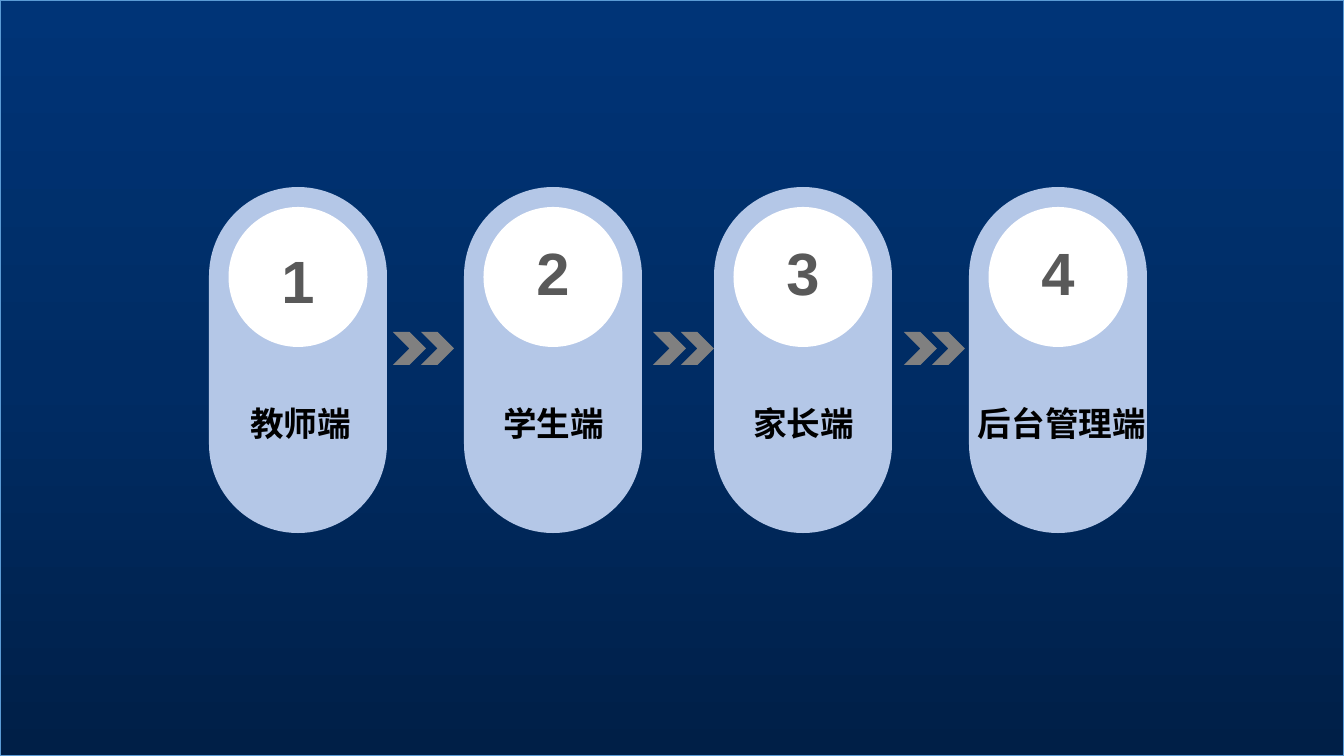
from copy import deepcopy

from lxml import etree
from pptx import Presentation
from pptx.dml.color import RGBColor
from pptx.enum.shapes import MSO_SHAPE
from pptx.enum.text import PP_ALIGN
from pptx.oxml.ns import qn
from pptx.util import Pt

RECT, PILL = MSO_SHAPE.RECTANGLE, MSO_SHAPE.ROUNDED_RECTANGLE
DISC, ARROW = MSO_SHAPE.OVAL, MSO_SHAPE.CHEVRON
CENTER = PP_ALIGN.CENTER

# Content: number, its top, label, pill left, label left, label width
STEPS = [
    ("1", 208, "教师端", 209, 221, 159),
    ("2", 200, "学生端", 464, 474, 159),
    ("3", 200, "家长端", 714, 724, 159),
    ("4", 200, "后台管理端", 969, 966, 192),
]
ARROWS = [393, 653, 904]
STOPS = [(0, "deep"), (0.5, "mid"), (1, "top")]
COLORS = {
    "deep": "001F47", "mid": "002C64", "top": "003477", "edge": "5B9BD5",
    "pill": "B4C7E7", "disc": "FFFFFF", "arrow": "808080",
    "digit": "595959", "label": "000000",
}
LATIN, HAN = "Arial", "Noto Sans CJK SC"

# Sizes in px
WIDE, HIGH = 1344, 756
PILL_W, PILL_H, PILL_Y = 178, 346, 187
DISC_W, DISC_H, DISC_Y = 139, 140, 207
NUM_W, NUM_H = 153, 108
LABEL_Y, LABEL_H = 398, 53
ARROW_Y, ARROW_W, ARROW_GAP = 332, 33, 28


def px(n):
    return round(n * 914400 / 100.8)


def color(name):
    return RGBColor.from_string(COLORS[name])


def box(*sizes):
    return [px(n) for n in sizes]


def shape(home, kind, fill, *sizes):
    item = home.shapes.add_shape(kind, *box(*sizes))
    item.shadow.inherit = False
    item.fill.solid()
    item.fill.fore_color.rgb = color(fill)
    item.line.fill.background()
    return item


def text(home, words, size, face, tint, *sizes):
    frame = home.shapes.add_textbox(*box(*sizes)).text_frame
    frame.word_wrap = True
    frame.text = words
    para = frame.paragraphs[0]
    para.alignment = CENTER
    run = para.runs[0]
    font = run.font
    font.size, font.bold, font.name = Pt(size), True, face
    font.color.rgb = color(tint)
    props = run._r.get_or_add_rPr()
    etree.SubElement(props, qn("a:ea")).set("typeface", face)
    return frame


deck = Presentation()
deck.slide_width, deck.slide_height = box(WIDE, HIGH)
slide = deck.slides.add_slide(deck.slide_layouts[6])

# Backdrop with a three-stop gradient
back = shape(slide, RECT, "mid", 0, 0, WIDE, HIGH)
back.line.color.rgb = color("edge")
back.line.width = Pt(1)
back.fill.gradient()
back.fill.gradient_angle = 90
marks = back._element.spPr.find(".//" + qn("a:gsLst"))
marks.insert(1, deepcopy(marks[0]))
for mark, (spot, name) in zip(back.fill.gradient_stops, STOPS):
    mark.position = spot
    mark.color.rgb = color(name)

# Numbered pills
for num, num_y, label, left, label_x, label_w in STEPS:
    group = slide.shapes.add_group_shape()
    pill = shape(group, PILL, "pill", left, PILL_Y, PILL_W, PILL_H)
    pill.adjustments[0] = 0.5
    mid = left + PILL_W / 2
    shape(group, DISC, "disc", mid - DISC_W / 2, DISC_Y, DISC_W, DISC_H)
    frame = text(group, num, 42.6, LATIN, "digit",
                 mid - NUM_W / 2, num_y, NUM_W, NUM_H)
    frame.margin_left = frame.margin_right = 0
    frame.margin_top = frame.margin_bottom = 0
    para = frame.paragraphs[0]
    para.line_spacing = 1.5
    para.runs[0]._r.get_or_add_rPr().set("spc", "50")
    text(group, label, 24, HAN, "label", label_x, LABEL_Y, label_w, LABEL_H)

# Double chevrons between the pills
for left in ARROWS:
    group = slide.shapes.add_group_shape()
    for step in range(2):
        shape(group, ARROW, "arrow",
              left + step * ARROW_GAP, ARROW_Y, ARROW_W, ARROW_W)

deck.save("out.pptx")
